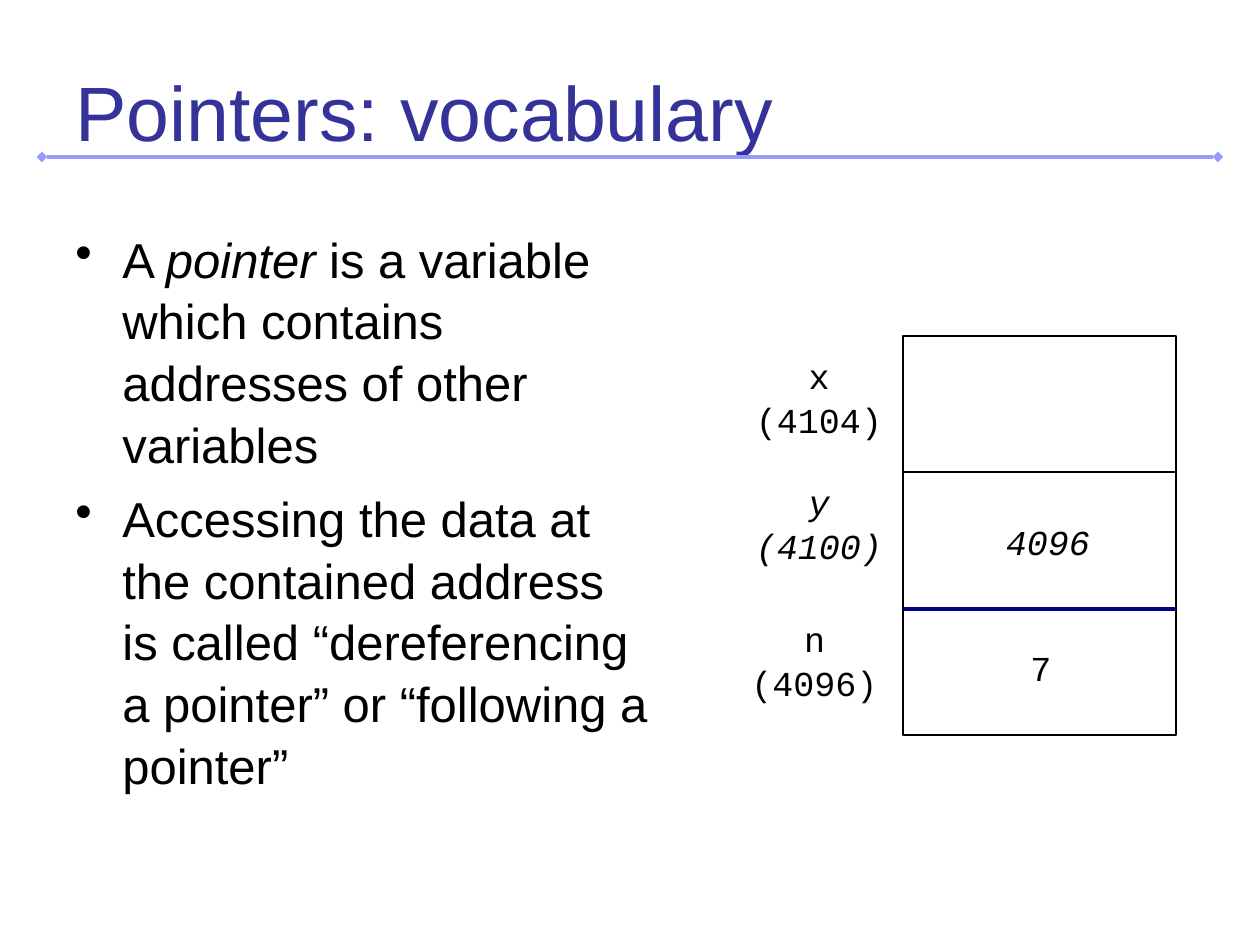
from lxml import etree
from pptx import Presentation
from pptx.dml.color import RGBColor
from pptx.enum.shapes import MSO_CONNECTOR, MSO_SHAPE
from pptx.enum.text import MSO_ANCHOR, MSO_AUTO_SIZE, PP_ALIGN
from pptx.oxml.ns import qn
from pptx.util import Emu, Pt

LEFT, CENTER = PP_ALIGN.LEFT, PP_ALIGN.CENTER
MIDDLE = MSO_ANCHOR.MIDDLE
FIT_SHAPE, NO_FIT = MSO_AUTO_SIZE.SHAPE_TO_FIT_TEXT, MSO_AUTO_SIZE.NONE
STRAIGHT, RECTANGLE = MSO_CONNECTOR.STRAIGHT, MSO_SHAPE.RECTANGLE

PX_PER_INCH = 126
COLORS = {"title": "333399", "rule": "9999FF", "ink": "000000", "divider": "000080"}
SANS, MONO = "Arial", "Courier New"
LINE_SPACING = 1.05

# Each bullet is a list of (text, italic) spans
BULLETS = [
    [("A ", False), ("pointer", True),
     (" is a variable which contains addresses of other variables", False)],
    [("Accessing the data at the contained address is called “dereferencing "
      "a pointer” or “following a pointer”", False)],
]

# Memory diagram: left and right edge of the cells, then the texts
CELL_LEFT, CELL_RIGHT = 903, 1176
MEMORY_TEXTS = [  # text, left, top, width, height, italic, wrap
    ("x\v(4104)", 735, 346, 168, 97, False, True),
    ("y\v(4100)", 735, 472, 168, 97, True, True),
    ("n\v(4096)", 735, 609, 159, 97, False, True),
    ("4096", 993, 512, 110, 55, True, False),
    ("7", 1018, 638, 45, 55, False, False),
]


def px(value):
    return Emu(round(value * 914400 / PX_PER_INCH))


def color(name):
    return RGBColor.from_string(COLORS[name])


def style(para, face, size, ink="ink", italic=False, align=LEFT):
    para.alignment = align
    para.line_spacing = LINE_SPACING
    para.font.name = face
    para.font.size = Pt(size)
    para.font.italic = italic
    para.font.color.rgb = color(ink)


def add_title(page, text):
    title = page.shapes.title
    title.left, title.top, title.width, title.height = px(63), px(38), px(1134), px(141)
    frame = title.text_frame
    frame.text = text
    frame.vertical_anchor = MIDDLE
    frame.auto_size = NO_FIT
    style(frame.paragraphs[0], SANS, 44, "title")


def add_line(shapes, left, right, y, ink, weight, ends=None):
    line = shapes.add_connector(STRAIGHT, px(left), px(y), px(right), px(y))
    line.line.color.rgb = color(ink)
    line.line.width = Pt(weight)
    if ends:
        outline = line.line._get_or_add_ln()
        for tag in ("a:headEnd", "a:tailEnd"):
            etree.SubElement(outline, qn(tag), type=ends)
    etree.SubElement(line._element.spPr, qn("a:effectLst"))


def add_bullets(page, bullets):
    box = page.shapes.add_textbox(px(63), px(220), px(598), px(662))
    frame = box.text_frame
    frame.word_wrap = True
    for index, spans in enumerate(bullets):
        para = frame.add_paragraph() if index else frame.paragraphs[0]
        if index:
            para.space_before = Pt(7)
        props = para._p.get_or_add_pPr()
        props.set("marL", str(px(47)))
        props.set("indent", str(-px(47)))
        etree.SubElement(props, qn("a:buChar"), char="•")
        style(para, SANS, 28)
        for text, italic in spans:
            span = para.add_run()
            span.text = text
            if italic:
                span.font.italic = True


def add_memory_text(shapes, text, left, top, width, height, italic, wrap):
    box = shapes.add_textbox(px(left), px(top), px(width), px(height))
    frame = box.text_frame
    frame.word_wrap = wrap
    frame.auto_size = FIT_SHAPE
    frame.text = text
    style(frame.paragraphs[0], MONO, 20, italic=italic, align=CENTER)


def add_memory(page):
    shapes = page.shapes.add_group_shape().shapes
    frame = shapes.add_shape(RECTANGLE, px(CELL_LEFT), px(336),
                             px(CELL_RIGHT - CELL_LEFT), px(399))
    frame.shadow.inherit = False
    frame.fill.background()
    frame.line.color.rgb = color("ink")
    frame.line.width = Pt(1)
    add_line(shapes, CELL_LEFT, CELL_RIGHT, 609, "divider", 2.5)
    add_line(shapes, CELL_LEFT, CELL_RIGHT, 472, "ink", 1)
    for entry in MEMORY_TEXTS:
        add_memory_text(shapes, *entry)


def main():
    deck = Presentation()
    deck.slide_width, deck.slide_height = px(1260), px(945)
    page = deck.slides.add_slide(deck.slide_layouts[5])
    add_title(page, "Pointers: vocabulary")
    add_line(page.shapes, 42, 1218, 157, "rule", 2, ends="diamond")
    add_bullets(page, BULLETS)
    add_memory(page)
    deck.save("out.pptx")


if __name__ == "__main__":
    main()
